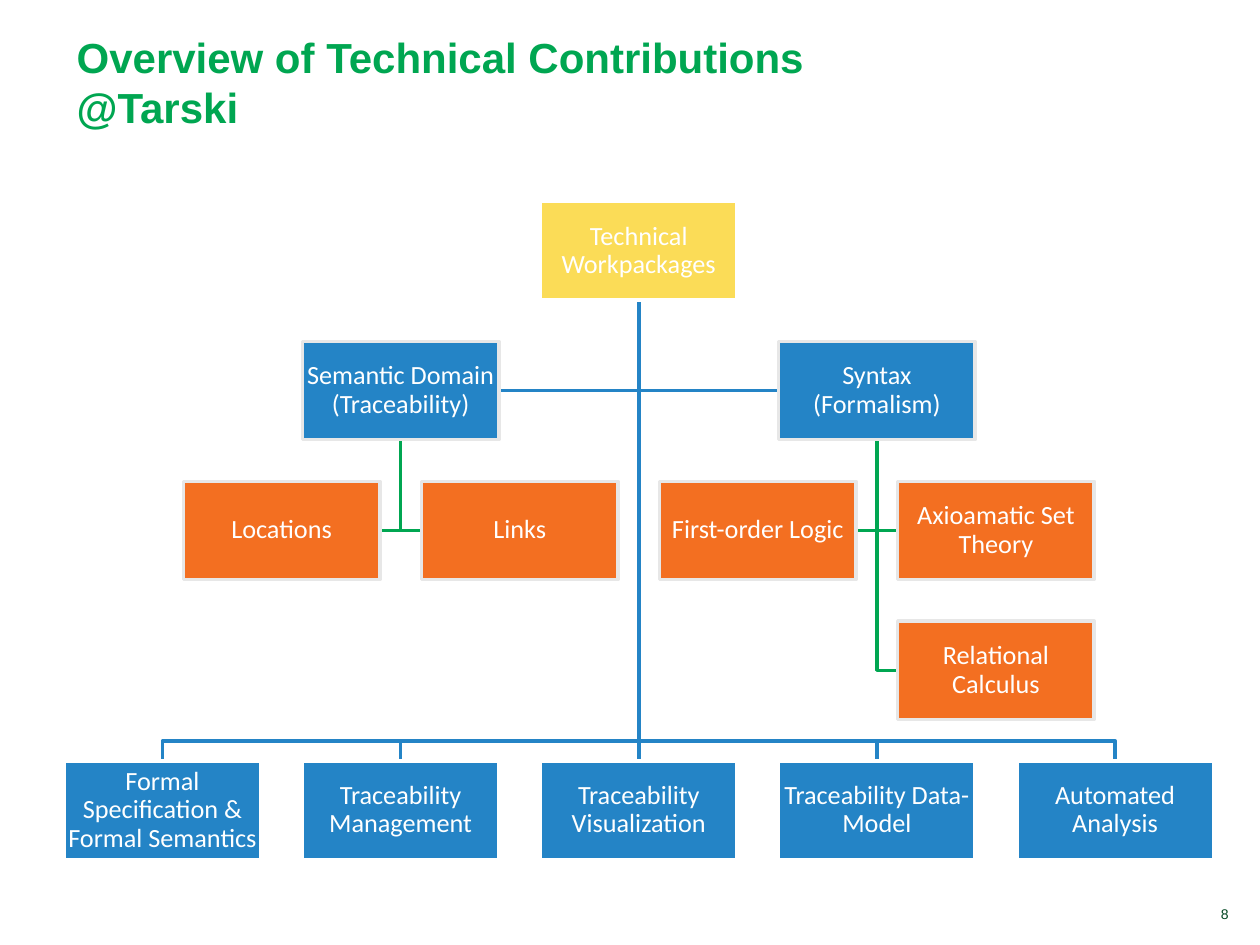
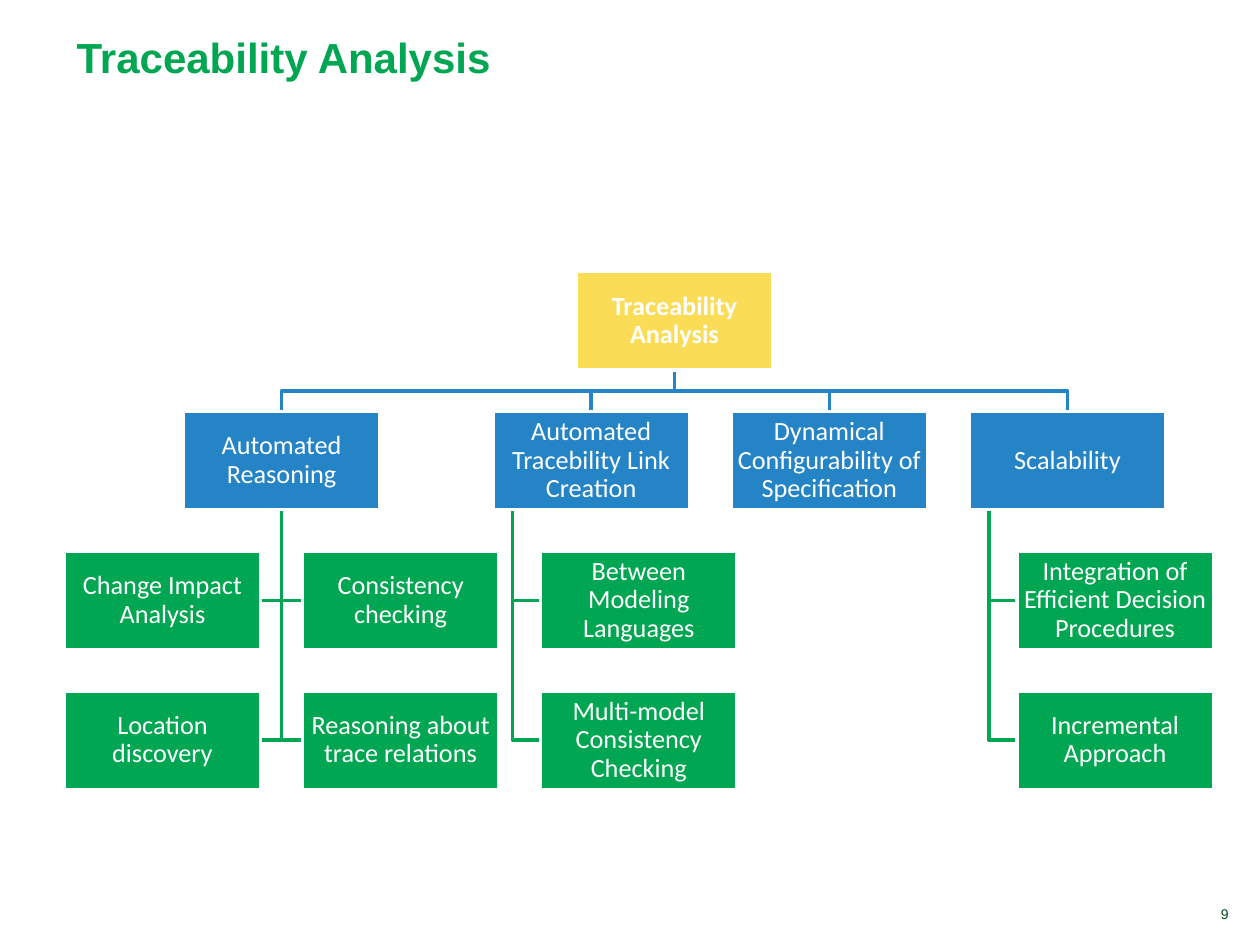
from dataclasses import dataclass

from lxml.etree import SubElement
from pptx import Presentation
from pptx.dml.color import RGBColor
from pptx.enum.shapes import MSO_CONNECTOR, MSO_SHAPE
from pptx.enum.text import MSO_ANCHOR, PP_ALIGN
from pptx.oxml.ns import qn
from pptx.util import Inches, Pt

GREEN = RGBColor(0x00, 0xA6, 0x51)
DARK_GREEN = RGBColor(0x00, 0x46, 0x21)
BLUE = RGBColor(0x24, 0x84, 0xC6)
ORANGE = RGBColor(0xF3, 0x6F, 0x21)
YELLOW = RGBColor(0xFB, 0xDC, 0x57)
WHITE = RGBColor(0xFF, 0xFF, 0xFF)
LIGHT_GREY = RGBColor(0xE7, 0xE7, 0xE7)

CHART_LEFT, CHART_TOP = 0.51, 1.6
COLUMN_PITCH, ROW_PITCH = 1.89, 1.11
BOX_WIDTH, BOX_HEIGHT = 1.56, 0.78
BUS_GAP = 0.16
LINE_WIDTH = Pt(2)


@dataclass
class Box:
    text: str
    column: float
    row: float
    fill: RGBColor
    outline: RGBColor = WHITE
    bold: bool = False

    @property
    def left(self):
        return CHART_LEFT + self.column * COLUMN_PITCH

    @property
    def top(self):
        return CHART_TOP + self.row * ROW_PITCH

    @property
    def right(self):
        return self.left + BOX_WIDTH

    @property
    def bottom(self):
        return self.top + BOX_HEIGHT

    @property
    def centre(self):
        return self.left + BOX_WIDTH / 2

    @property
    def middle(self):
        return self.top + BOX_HEIGHT / 2


def add_text(slide, text, left, top, width, height, size, color, bold=False,
             alignment=PP_ALIGN.LEFT, anchor=MSO_ANCHOR.TOP):
    text_box = slide.shapes.add_textbox(Inches(left), Inches(top), Inches(width), Inches(height))
    frame = text_box.text_frame
    frame.word_wrap = True
    frame.vertical_anchor = anchor
    paragraph = frame.paragraphs[0]
    paragraph.text = text
    paragraph.alignment = alignment
    style_font(paragraph.font, "Arial", size, color, bold)
    return frame


def style_font(font, name, size, color, bold):
    font.name = name
    font.size = Pt(size)
    font.color.rgb = color
    font.bold = bold


def add_slide(presentation, title, number):
    slide = presentation.slides.add_slide(presentation.slide_layouts[6])
    add_text(slide, str(number), 8.54, 7.14, 1.31, 0.23, 8, DARK_GREEN,
             alignment=PP_ALIGN.RIGHT, anchor=MSO_ANCHOR.BOTTOM)
    title_frame = add_text(slide, title, 0.51, 0.16, 6.81, 0.91, 24, GREEN, bold=True)
    title_frame.margin_top = Inches(0.09)
    return slide


def add_box(slide, box):
    shape = slide.shapes.add_shape(MSO_SHAPE.RECTANGLE, Inches(box.left), Inches(box.top),
                                   Inches(BOX_WIDTH), Inches(BOX_HEIGHT))
    shape.shadow.inherit = False
    shape.fill.solid()
    shape.fill.fore_color.rgb = box.fill
    shape.line.color.rgb = box.outline
    shape.line.width = LINE_WIDTH
    frame = shape.text_frame
    frame.word_wrap = True
    frame.vertical_anchor = MSO_ANCHOR.MIDDLE
    frame.margin_left = frame.margin_right = Inches(0.01)
    frame.margin_top = frame.margin_bottom = Inches(0.01)
    paragraph = frame.paragraphs[0]
    paragraph.text = box.text
    paragraph.alignment = PP_ALIGN.CENTER
    paragraph.line_spacing = 0.9
    style_font(paragraph.font, "Calibri", 15, WHITE, box.bold)


def add_path(slide, points, color):
    points = [(Inches(x), Inches(y)) for x, y in points]
    builder = slide.shapes.build_freeform(*points[0])
    builder.add_line_segments(points[1:], close=False)
    shape = builder.convert_to_shape()
    shape.shadow.inherit = False
    shape.fill.background()
    shape.line.color.rgb = color
    shape.line.width = LINE_WIDTH


def add_straight_line(slide, x, top, bottom, color):
    connector = slide.shapes.add_connector(MSO_CONNECTOR.STRAIGHT, Inches(x), Inches(top),
                                           Inches(x), Inches(bottom))
    SubElement(connector._element.spPr, qn("a:effectLst"))
    connector.line.color.rgb = color
    connector.line.width = LINE_WIDTH


def link_below(slide, parent, children):
    for child in children:
        if child.column == parent.column:
            add_straight_line(slide, parent.centre, parent.bottom, child.top, BLUE)
            continue
        bus = child.top - BUS_GAP
        add_path(slide, [(parent.centre, parent.bottom), (parent.centre, bus),
                         (child.centre, bus), (child.centre, child.top)], BLUE)


def link_beside(slide, parent, children, color, spine=None):
    spine = spine or parent.centre
    for child in children:
        side = child.left if child.left > spine else child.right
        add_path(slide, [(spine, parent.bottom), (spine, child.middle),
                         (side, child.middle)], color)


def build_contributions(presentation):
    slide = add_slide(presentation, "Overview of Technical Contributions @Tarski", 8)
    root = Box("Technical Workpackages", 2, 0, YELLOW)
    semantics = Box("Semantic Domain (Traceability)", 1, 1, BLUE, LIGHT_GREY)
    syntax = Box("Syntax (Formalism)", 3, 1, BLUE, LIGHT_GREY)
    domains = [Box(text, column, 2, ORANGE, LIGHT_GREY)
               for text, column in [("Locations", 0.5), ("Links", 1.5)]]
    formalisms = [Box(text, column, row, ORANGE, LIGHT_GREY) for text, column, row in [
        ("First-order Logic", 2.5, 2), ("Axioamatic Set Theory", 3.5, 2),
        ("Relational Calculus", 3.5, 3)]]
    packages = [Box(text, column, 4, BLUE) for column, text in enumerate([
        "Formal Specification & Formal Semantics ", "Traceability Management",
        "Traceability Visualization", "Traceability Data-Model", "Automated Analysis"])]

    link_beside(slide, syntax, formalisms, GREEN)
    link_beside(slide, semantics, domains, GREEN)
    link_beside(slide, root, [semantics, syntax], BLUE)
    link_below(slide, root, packages)
    for box in [root, *packages, semantics, *domains, syntax, *formalisms]:
        add_box(slide, box)


def build_analysis(presentation):
    slide = add_slide(presentation, "Traceability Analysis", 9)
    root = Box("Traceability Analysis", 2.15, 0.5, YELLOW, bold=True)
    topics = [Box(text, column, 1.5, BLUE) for text, column in [
        ("Automated Reasoning", 0.5), ("Automated Tracebility Link Creation", 1.8),
        ("Dynamical Configurability of Specification", 2.8), ("Scalability", 3.8)]]
    reasoning, creation, _, scalability = topics
    branches = [
        (reasoning, reasoning.centre, [
            ("Change Impact Analysis", 0, 2.5), ("Consistency checking", 1, 2.5),
            ("Location discovery", 0, 3.5), ("Reasoning about trace relations", 1, 3.5)]),
        (creation, creation.left + BOX_WIDTH / 10, [
            ("Between Modeling Languages", 2, 2.5),
            ("Multi-model Consistency Checking", 2, 3.5)]),
        (scalability, scalability.left + BOX_WIDTH / 10, [
            ("Integration of Efficient Decision Procedures", 4, 2.5),
            ("Incremental Approach", 4, 3.5)]),
    ]

    link_below(slide, root, topics)
    for topic, spine, entries in branches:
        details = [Box(text, column, row, GREEN) for text, column, row in entries]
        link_beside(slide, topic, details, GREEN, spine)
        for box in details:
            add_box(slide, box)
    for box in [root, *topics]:
        add_box(slide, box)


def main():
    presentation = Presentation()
    presentation.slide_width = Inches(10)
    presentation.slide_height = Inches(7.5)
    build_contributions(presentation)
    build_analysis(presentation)
    presentation.save("out.pptx")


if __name__ == "__main__":
    main()
